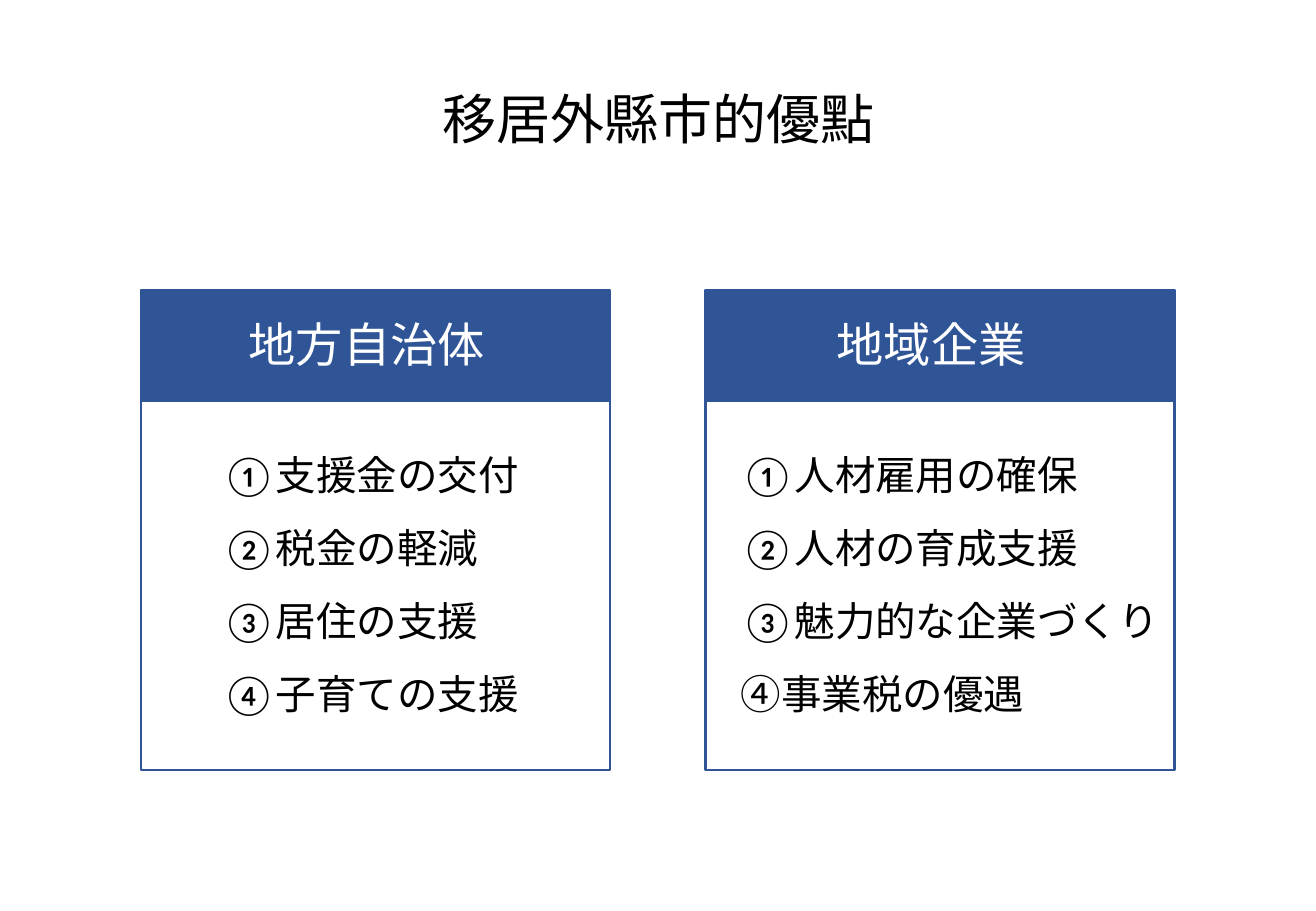
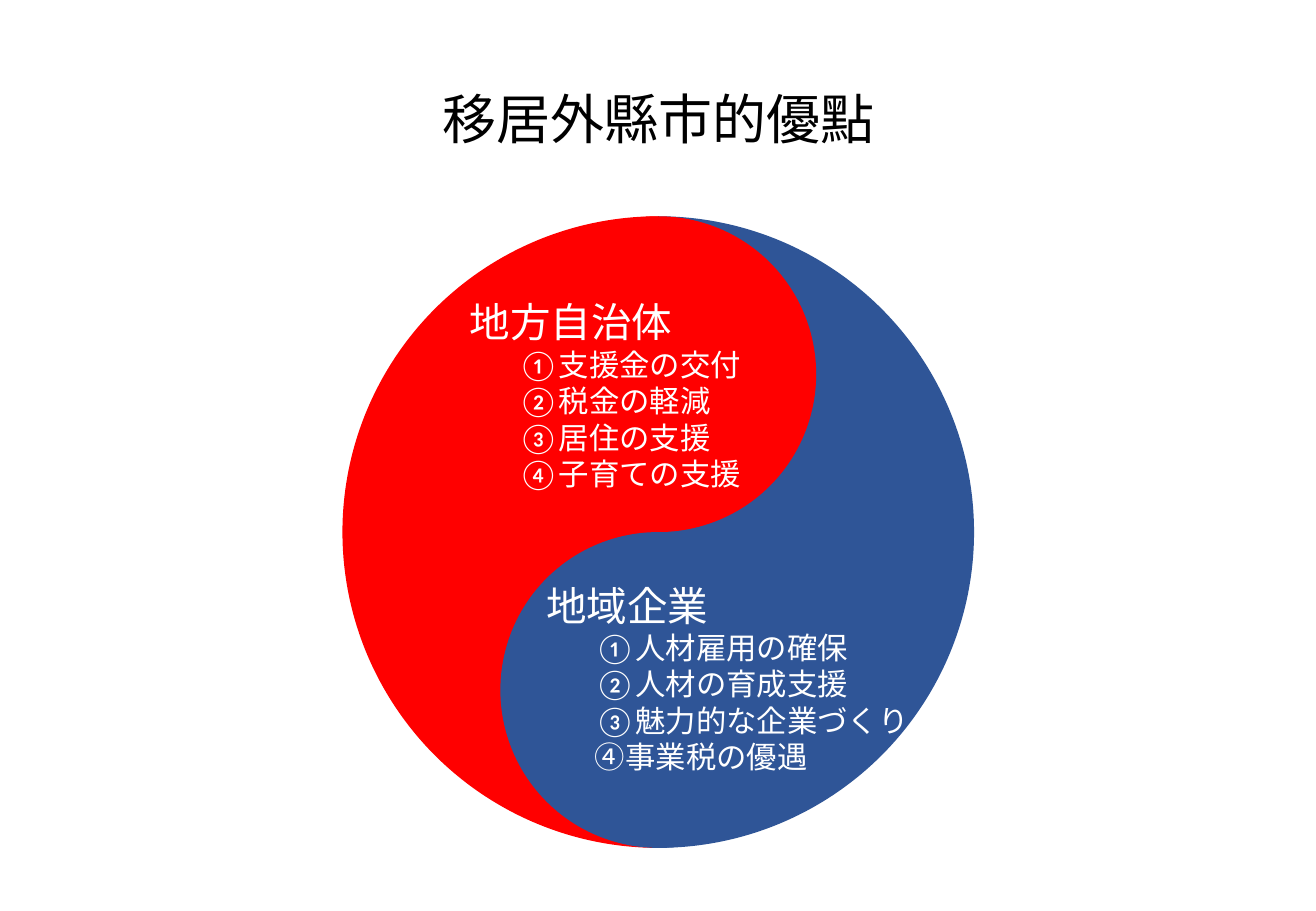
from dataclasses import dataclass

from pptx import Presentation
from pptx.dml.color import RGBColor
from pptx.enum.lang import MSO_LANGUAGE_ID as Language
from pptx.enum.shapes import MSO_SHAPE as Preset
from pptx.enum.text import MSO_ANCHOR as Anchor
from pptx.enum.text import MSO_AUTO_SIZE as AutoSize
from pptx.enum.text import PP_ALIGN as Align
from pptx.oxml.ns import qn
from pptx.shapes.autoshape import Shape
from pptx.slide import Slide
from pptx.text.text import TextFrame
from pptx.util import Pt

BLUE = RGBColor(0x2F, 0x55, 0x97)
RED = RGBColor(0xFF, 0x00, 0x00)
WHITE = RGBColor(0xFF, 0xFF, 0xFF)
BLACK = RGBColor(0x00, 0x00, 0x00)

HEADING_FONT = "Arial"
ITEM_FONT = "Calibri"
TITLE_FONT = "Noto Sans CJK JP"
EAST_ASIAN_FONT = "Calibri"

TITLE = "移居外縣市的優點"
TITLE_ONLY = 5

CARD_WIDTH = 278
HEADER_TOP, HEADER_HEIGHT = 172, 65.4
BODY_HEIGHT = 219

CIRCLE_LEFT, CIRCLE_TOP, DIAMETER = 203, 128.2, 374.4
QUARTER_TURN, THREE_QUARTER_TURN = 54, 162


@dataclass(frozen=True)
class Box:
    left: float
    top: float
    width: float
    height: float

    def lengths(self) -> tuple[Pt, Pt, Pt, Pt]:
        return Pt(self.left), Pt(self.top), Pt(self.width), Pt(self.height)


@dataclass(frozen=True)
class Partner:
    name: str
    items: tuple[str, ...]
    color: RGBColor
    card_left: float
    label_box: Box
    list_box: Box
    half_angles: tuple[float, float]
    lobe_top: float
    lobe_text_box: Box


PARTNERS = (
    Partner(
        "地方自治体",
        ("①支援金の交付", "②税金の軽減", "③居住の支援", "④子育ての支援"),
        RED,
        83.5,
        Box(140.4, 183.6, 156.2, 41),
        Box(124.6, 249, 237.6, 178),
        (QUARTER_TURN, THREE_QUARTER_TURN),
        CIRCLE_TOP,
        Box(271.4, 172.8, 208.8, 124),
    ),
    Partner(
        "地域企業",
        ("①人材雇用の確保", "②人材の育成支援", "③魅力的な企業づくり", "➃事業税の優遇"),
        BLUE,
        418.3,
        Box(488.9, 183.6, 127.4, 41),
        Box(432, 249, 264.2, 178),
        (THREE_QUARTER_TURN, QUARTER_TURN),
        CIRCLE_TOP + DIAMETER / 2,
        Box(316.8, 340.6, 239.8, 124),
    ),
)


def write(
    frame: TextFrame,
    text: str,
    *,
    size: float,
    font: str,
    color: RGBColor,
    align: Align = Align.LEFT,
    spacing: float = 1.0,
    indent: float = 0,
) -> None:
    para = frame.paragraphs[0]
    if para.runs:
        para = frame.add_paragraph()
    para.alignment = align
    para.line_spacing = spacing
    if indent:
        properties = para._p.get_or_add_pPr()
        properties.set("marL", str(Pt(indent)))
        properties.set("indent", "0")
    span = para.add_run()
    span.text = text
    span.font.size = Pt(size)
    span.font.name = font
    span.font.color.rgb = color
    span.font.language_id = Language.JAPANESE
    latin = span._r.rPr.find(qn("a:latin"))
    east_asian = latin.makeelement(qn("a:ea"), {"typeface": EAST_ASIAN_FONT})
    latin.addnext(east_asian)


def add_text_box(page: Slide, box: Box, *, wrap: bool = True) -> TextFrame:
    frame = page.shapes.add_textbox(*box.lengths()).text_frame
    frame.word_wrap = wrap
    frame.auto_size = AutoSize.SHAPE_TO_FIT_TEXT
    return frame


def add_preset(
    page: Slide,
    preset: Preset,
    box: Box,
    *,
    fill: RGBColor | None = None,
    line: RGBColor | None = None,
) -> Shape:
    shape = page.shapes.add_shape(preset, *box.lengths())
    shape.shadow.inherit = False
    if fill is None:
        shape.fill.background()
    else:
        shape.fill.solid()
        shape.fill.fore_color.rgb = fill
    if line is None:
        shape.line.fill.background()
    else:
        shape.line.color.rgb = line
        shape.line.width = Pt(1.5)
    return shape


def add_page(deck: Presentation) -> Slide:
    page = deck.slides.add_slide(deck.slide_layouts[TITLE_ONLY])
    title = page.shapes.title
    title.left, title.top, title.width, title.height = Box(208, 46.8, 364.4, 46).lengths()
    frame = title.text_frame
    frame.vertical_anchor = Anchor.TOP
    frame.word_wrap = True
    frame.auto_size = AutoSize.SHAPE_TO_FIT_TEXT
    write(frame, TITLE, size=32, font=TITLE_FONT, color=BLACK, align=Align.CENTER)
    return page


def draw_card(page: Slide, partner: Partner) -> None:
    body = Box(partner.card_left, HEADER_TOP + HEADER_HEIGHT, CARD_WIDTH, BODY_HEIGHT)
    header = Box(partner.card_left, HEADER_TOP, CARD_WIDTH, HEADER_HEIGHT)
    add_preset(page, Preset.RECTANGLE, body, line=BLUE)
    add_preset(page, Preset.RECTANGLE, header, fill=BLUE, line=BLUE)
    label = add_text_box(page, partner.label_box, wrap=False)
    write(label, partner.name, size=28, font=HEADING_FONT, color=WHITE)
    listing = add_text_box(page, partner.list_box)
    for item in partner.items:
        write(listing, item, size=24, font=HEADING_FONT, color=BLACK, spacing=1.5)


def draw_half(page: Slide, partner: Partner) -> None:
    circle = Box(CIRCLE_LEFT, CIRCLE_TOP, DIAMETER, DIAMETER)
    half = add_preset(page, Preset.CHORD, circle, fill=partner.color)
    for index, angle in enumerate(partner.half_angles):
        half.adjustments[index] = angle


def draw_lobe(page: Slide, partner: Partner) -> None:
    lobe = Box(CIRCLE_LEFT + DIAMETER / 4, partner.lobe_top, DIAMETER / 2, DIAMETER / 2)
    add_preset(page, Preset.OVAL, lobe, fill=partner.color)


def draw_lobe_text(page: Slide, partner: Partner) -> None:
    frame = add_text_box(page, partner.lobe_text_box)
    write(frame, partner.name, size=24, font=HEADING_FONT, color=WHITE)
    for item in partner.items:
        write(frame, item, size=18, font=ITEM_FONT, color=WHITE, indent=28.8)


def main() -> None:
    deck = Presentation()
    deck.slide_width, deck.slide_height = Pt(780), Pt(540)

    cards_page = add_page(deck)
    for partner in PARTNERS:
        draw_card(cards_page, partner)

    circle_page = add_page(deck)
    for draw in (draw_half, draw_lobe, draw_lobe_text):
        for partner in PARTNERS:
            draw(circle_page, partner)

    deck.save("out.pptx")


if __name__ == "__main__":
    main()
